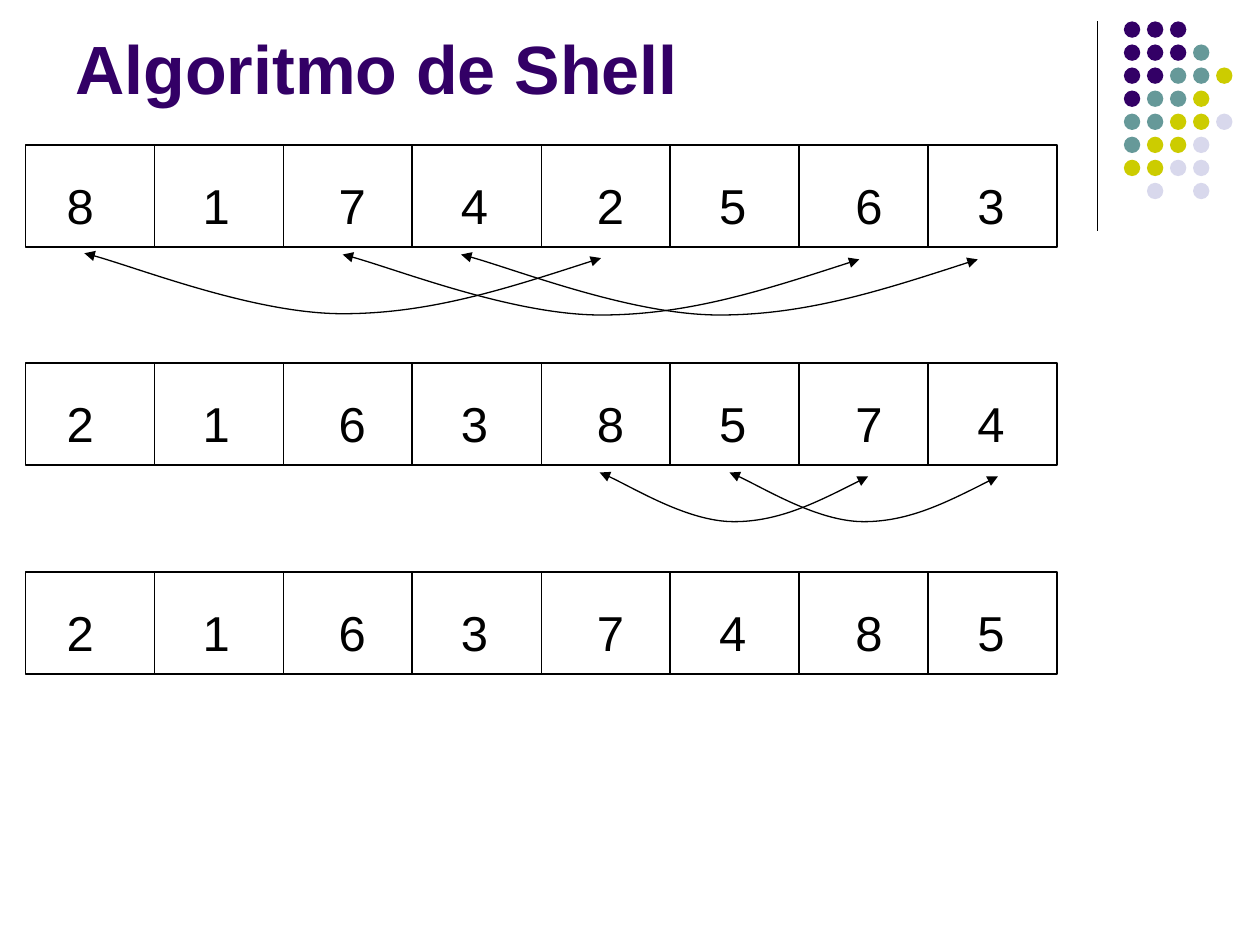
from itertools import accumulate

from lxml import etree
from pptx import Presentation
from pptx.dml.color import RGBColor
from pptx.enum.shapes import MSO_CONNECTOR, MSO_SHAPE
from pptx.enum.text import MSO_ANCHOR
from pptx.oxml.ns import qn
from pptx.util import Inches, Pt

STRAIGHT = MSO_CONNECTOR.STRAIGHT
RECTANGLE = MSO_SHAPE.RECTANGLE
OVAL = MSO_SHAPE.OVAL
TOP = MSO_ANCHOR.TOP
BOTTOM = MSO_ANCHOR.BOTTOM

FONT = "Arial"
COLORS = {
    "black": "000000",
    "purple": "330066",
    "teal": "669999",
    "olive": "CCCC00",
    "lavender": "D8D8EC",
}

DOT_COLORS = {"P": "purple", "T": "teal", "O": "olive", "L": "lavender"}
DOT_ROWS = ["PPP", "PPPT", "PPTTO", "PTTO", "TTOOL", "TOOL", "OOLL", " L L"]
DOT_LEFT, DOT_TOP, DOT_PITCH, DOT_SIZE = 8.92, 0.17, 0.183, 0.13

ARRAY_LEFT, ARRAY_WIDTH, ARRAY_HEIGHT = 0.2, 8.19, 0.81
STEPS = [(1.15, "81742563"), (2.88, "21638574"), (4.54, "21637485")]
DIGIT_STOPS = list(accumulate([1.08, 1.08, 0.97, 1.08, 0.97, 1.08, 0.97]))

# left, top, width, depth of each exchange between two cells
SWAPS = [
    (0.67, 2.01, 4.1, 0.48),
    (2.72, 2.02, 4.1, 0.48),
    (3.66, 2.02, 4.1, 0.48),
    (4.76, 3.75, 2.13, 0.39),
    (5.79, 3.75, 2.13, 0.39),
]
# Bezier points as fractions of width and depth, from right to left
SWAP_CURVE = [(1, 0.08), (0.83, 0.55), (0.67, 1), (0.5, 1),
              (0.33, 1), (0.08, 0.16), (0, 0)]


def rgb(name):
    return RGBColor.from_string(COLORS[name])


def style_line(line):
    line.color.rgb = rgb("black")
    line.width = Pt(0.75)


def add_line(slide, x1, y1, x2, y2):
    connector = slide.shapes.add_connector(
        STRAIGHT, Inches(x1), Inches(y1), Inches(x2), Inches(y2))
    style_line(connector.line)
    etree.SubElement(connector._element.spPr, qn("a:effectLst"))


def add_text(slide, box, text, size, color, bold=False, anchor=TOP,
             insets=(0.05, 0.05), stops=()):
    """Add one line of text; stops are tab positions in inches."""
    textbox = slide.shapes.add_textbox(*map(Inches, box))
    frame = textbox.text_frame
    frame.word_wrap = True
    frame.vertical_anchor = anchor
    frame.margin_top, frame.margin_bottom = map(Inches, insets)
    paragraph = frame.paragraphs[0]
    paragraph.text = text
    if stops:
        tabs = etree.SubElement(paragraph._p.get_or_add_pPr(), qn("a:tabLst"))
        for stop in stops:
            etree.SubElement(tabs, qn("a:tab"), pos=str(Inches(stop)), algn="l")
    font = paragraph.runs[0].font
    font.name = FONT
    font.size = Pt(size)
    font.bold = bold
    font.color.rgb = rgb(color)


def add_dots(slide):
    for row, codes in enumerate(DOT_ROWS):
        for column, code in enumerate(codes):
            if code == " ":
                continue
            dot = slide.shapes.add_shape(
                OVAL, Inches(DOT_LEFT + column * DOT_PITCH),
                Inches(DOT_TOP + row * DOT_PITCH),
                Inches(DOT_SIZE), Inches(DOT_SIZE))
            dot.shadow.inherit = False
            dot.fill.solid()
            dot.fill.fore_color.rgb = rgb(DOT_COLORS[code])
            dot.line.fill.background()


def add_array(slide, top, digits):
    frame = slide.shapes.add_shape(
        RECTANGLE, Inches(ARRAY_LEFT), Inches(top),
        Inches(ARRAY_WIDTH), Inches(ARRAY_HEIGHT))
    frame.shadow.inherit = False
    frame.fill.background()
    style_line(frame.line)
    cell_width = ARRAY_WIDTH / len(digits)
    for index in range(1, len(digits)):
        x = ARRAY_LEFT + index * cell_width
        add_line(slide, x, top, x, top + ARRAY_HEIGHT)
    add_text(slide, (0.43, top + 0.15, 7.87, 0.57), "\t".join(digits), 28,
             "black", insets=(0.09, 0.03), stops=DIGIT_STOPS)


def add_swap(slide, left, top, width, depth):
    """Add a curve with an arrowhead at each end."""
    points = [(Inches(left + x * width), Inches(top + y * depth))
              for x, y in SWAP_CURVE]
    builder = slide.shapes.build_freeform(*points[0])
    builder.add_line_segments(points[1:], close=False)
    curve = builder.convert_to_shape()
    curve.shadow.inherit = False
    curve.fill.background()
    style_line(curve.line)

    # Each three straight segments become one cubic segment.
    outline = next(curve._element.iter(qn("a:path")))
    segments = outline.findall(qn("a:lnTo"))
    for start in range(0, len(segments), 3):
        cubic = etree.SubElement(outline, qn("a:cubicBezTo"))
        for segment in segments[start:start + 3]:
            cubic.append(segment[0])
            outline.remove(segment)

    outline_format = curve.line._get_or_add_ln()
    for end in ("a:headEnd", "a:tailEnd"):
        etree.SubElement(outline_format, qn(end), type="triangle")


def main():
    presentation = Presentation()
    presentation.slide_width = Inches(10)
    presentation.slide_height = Inches(7.5)
    slide = presentation.slides.add_slide(presentation.slide_layouts[6])

    add_line(slide, 8.71, 0.17, 8.71, 1.83)
    add_dots(slide)
    add_text(slide, (0.5, 0.13, 8.25, 0.78), "Algoritmo de Shell", 39,
             "purple", bold=True, anchor=BOTTOM)
    for top, digits in STEPS:
        add_array(slide, top, digits)
    for swap in SWAPS:
        add_swap(slide, *swap)

    presentation.save("out.pptx")


if __name__ == "__main__":
    main()
